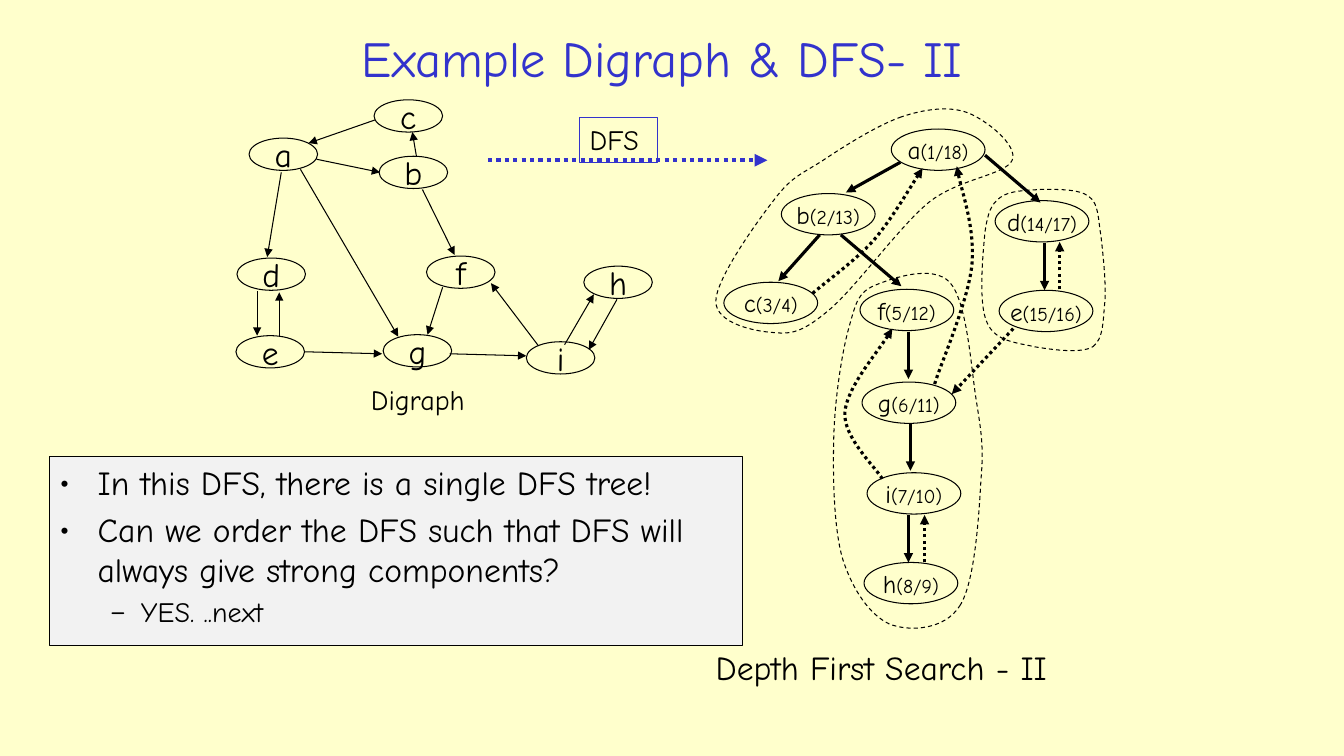
"""Build a slide that shows a digraph beside its depth first search tree."""
from lxml.etree import SubElement
from pptx import Presentation
from pptx.dml.color import RGBColor
from pptx.enum.dml import MSO_LINE as Dash
from pptx.enum.shapes import MSO_CONNECTOR as Link, MSO_SHAPE as Preset
from pptx.enum.text import MSO_ANCHOR as Anchor, PP_ALIGN as Align
from pptx.oxml.ns import qn
from pptx.util import Cm, Pt

BLACK = RGBColor(0x00, 0x00, 0x00)
BLUE = RGBColor(0x33, 0x33, 0xCC)
CREAM = RGBColor(0xFF, 0xFF, 0xCC)
GREY = RGBColor(0xF2, 0xF2, 0xF2)
FONT = "Comic Neue"
INCH = 2.54


def style_line(shape, color=BLACK, width=0.75, dash=None, arrow=False):
    shape.line.color.rgb = color
    shape.line.width = Pt(width)
    if dash:
        shape.line.dash_style = dash
    properties = shape.element.spPr
    if arrow:
        SubElement(properties.find(qn("a:ln")), qn("a:tailEnd"), type="triangle")
    if properties.find(qn("a:effectLst")) is None:
        SubElement(properties, qn("a:effectLst"))


def add_span(para, text, size, color=BLACK):
    span = para.add_run()
    span.text = text
    span.font.name = FONT
    span.font.size = Pt(size)
    span.font.color.rgb = color


deck = Presentation()
deck.slide_width, deck.slide_height = Cm(13.33 * INCH), Cm(7.5 * INCH)
page = deck.slides.add_slide(deck.slide_layouts[6])
page.background.fill.solid()
page.background.fill.fore_color.rgb = CREAM

tree_nodes = [
    ("a", "(1/18)", 8.84, 1.28), ("b", "(2/13)", 7.75, 1.92), ("c", "(3/4)", 7.18, 2.8),
    ("d", "(14/17)", 9.87, 1.99), ("e", "(15/16)", 9.91, 2.88), ("f", "(5/12)", 8.53, 2.87),
    ("g", "(6/11)", 8.55, 3.79), ("i", "(7/10)", 8.6, 4.69), ("h", "(8/9)", 8.57, 5.58),
]
graph_nodes = [
    ("a", "", 2.47, 1.37), ("c", "", 3.71, 0.99), ("b", "", 3.76, 1.55),
    ("d", "", 2.35, 2.56), ("e", "", 2.34, 3.33), ("f", "", 4.23, 2.54),
    ("g", "", 3.8, 3.32), ("i", "", 5.22, 3.39), ("h", "", 5.79, 2.64),
]
for nodes, width, height, size in [(tree_nodes, 0.93, 0.41, 18), (graph_nodes, 0.68, 0.32, 24)]:
    for name, times, left, top in nodes:
        place = [Cm(value * INCH) for value in (left, top, width, height)]
        node = page.shapes.add_shape(Preset.OVAL, *place)
        node.shadow.inherit = False
        node.fill.solid()
        node.fill.fore_color.rgb = CREAM
        style_line(node)
        node.text_frame.word_wrap = False
        node.text_frame.vertical_anchor = Anchor.MIDDLE
        para = node.text_frame.paragraphs[0]
        para.alignment = Align.CENTER
        add_span(para, name, size)
        if times:
            add_span(para, times, 14)

tree_edges = [
    (8.93, 1.61, 8.39, 1.91), (8.13, 2.33, 7.72, 2.79), (8.34, 2.33, 8.94, 2.84),
    (9.01, 3.29, 9.01, 3.76), (9.03, 4.2, 9.03, 4.67), (9.01, 5.11, 9.01, 5.58),
    (9.77, 1.54, 10.32, 2.01), (10.36, 2.41, 10.36, 2.88),
]
back_edges = [
    (10.51, 2.87, 10.51, 2.4), (9.17, 5.58, 9.17, 5.11), (10.05, 3.26, 9.44, 3.91),
]
graph_edges = [
    (3.72, 1.19, 3.06, 1.42), (3.14, 1.58, 3.77, 1.71), (4.13, 1.55, 4.09, 1.31),
    (2.79, 1.71, 2.65, 2.55), (2.55, 2.89, 2.55, 3.33), (2.77, 3.34, 2.77, 2.9),
    (4.19, 1.88, 4.51, 2.53), (3.02, 3.49, 3.79, 3.51), (5.34, 3.43, 4.87, 2.81),
    (5.6, 3.42, 5.89, 2.92), (6.12, 2.97, 5.84, 3.47), (4.46, 3.51, 5.22, 3.53),
    (4.39, 2.85, 4.24, 3.32), (2.98, 1.68, 3.95, 3.34),
]
search_arrow = [(4.84, 1.59, 7.61, 1.59)]
for edges, color, width, dash in [
    (tree_edges, BLACK, 2.25, None), (back_edges, BLACK, 2.25, Dash.ROUND_DOT),
    (graph_edges, BLACK, 0.75, None), (search_arrow, BLUE, 3, Dash.ROUND_DOT),
]:
    for ends in edges:
        edge = page.shapes.add_connector(Link.STRAIGHT, *[Cm(value * INCH) for value in ends])
        style_line(edge, color, width, dash, arrow=True)

back_curves = [
    [(8.06, 2.91), (8.16, 2.82), (8.48, 2.59), (8.66, 2.39),
     (8.84, 2.18), (9.05, 1.82), (9.15, 1.67)],
    [(9.27, 3.81), (9.33, 3.61), (9.6, 3), (9.64, 2.63),
     (9.67, 2.27), (9.52, 1.85), (9.49, 1.65)],
    [(8.75, 4.75), (8.69, 4.64), (8.36, 4.34), (8.38, 4.09),
     (8.4, 3.85), (8.75, 3.44), (8.85, 3.26)],
]
component_outlines = [
    [(8.94, 1.16), (8.71, 1.24), (8.39, 1.44), (8.18, 1.58), (7.97, 1.72), (7.86, 1.74),
     (7.68, 1.98), (7.5, 2.21), (7.1, 2.77), (7.1, 2.99), (7.1, 3.21), (7.49, 3.29),
     (7.68, 3.3), (7.87, 3.32), (7.98, 3.28), (8.23, 3.07), (8.49, 2.85), (8.91, 2.26),
     (9.21, 2.01), (9.51, 1.77), (9.97, 1.74), (10.04, 1.59), (10.1, 1.44), (9.78, 1.19),
     (9.6, 1.12), (9.42, 1.05), (9.18, 1.08), (8.94, 1.16)],
    [(10.84, 3.44), (10.95, 3.36), (10.94, 3.16), (10.96, 2.98), (10.97, 2.79), (10.94, 2.52),
     (10.92, 2.34), (10.89, 2.17), (10.9, 2.02), (10.8, 1.95), (10.7, 1.87), (10.47, 1.88),
     (10.32, 1.88), (10.18, 1.89), (10.01, 1.89), (9.92, 1.96), (9.83, 2.03), (9.8, 2.1),
     (9.77, 2.3), (9.75, 2.51), (9.7, 3.01), (9.79, 3.2), (9.87, 3.39), (10.09, 3.4),
     (10.26, 3.44), (10.44, 3.47), (10.72, 3.51), (10.84, 3.44)],
    [(9.52, 6.01), (9.67, 5.78), (9.71, 5.11), (9.73, 4.76), (9.76, 4.42), (9.73, 4.27),
     (9.68, 3.95), (9.63, 3.62), (9.59, 2.99), (9.42, 2.8), (9.25, 2.62), (8.85, 2.76),
     (8.68, 2.83), (8.51, 2.9), (8.49, 3), (8.42, 3.25), (8.35, 3.5), (8.28, 3.96),
     (8.27, 4.34), (8.26, 4.73), (8.27, 5.25), (8.36, 5.55), (8.46, 5.86), (8.63, 6.1),
     (8.82, 6.19), (9.02, 6.27), (9.37, 6.25), (9.52, 6.01)],
]
for curves, width, dash, closed in [
    (back_curves, 2.25, Dash.ROUND_DOT, False), (component_outlines, 0.75, Dash.DASH, True),
]:
    for controls in curves:
        start, *points = [(Cm(x * INCH), Cm(y * INCH)) for x, y in controls]
        builder = page.shapes.build_freeform(*start)
        builder.add_line_segments(points, close=closed)
        curve = builder.convert_to_shape()
        segments = list(curve.element.iter(qn("a:lnTo")))
        for first, second, third in zip(segments[::3], segments[1::3], segments[2::3]):
            bezier = first.makeelement(qn("a:cubicBezTo"))
            first.addprevious(bezier)
            for segment in (first, second, third):
                bezier.append(segment[0])
                segment.getparent().remove(segment)
        curve.shadow.inherit = False
        curve.fill.background()
        style_line(curve, width=width, dash=dash, arrow=not closed)

for text, place, size, color, align, anchor in [
    ("Example Digraph & DFS- II", (2.09, 0.24, 8.96, 0.66), 36, BLUE, Align.CENTER, Anchor.MIDDLE),
    ("Depth First Search - II", (7, 6.37, 3.93, 0.5), 24, BLACK, Align.LEFT, Anchor.TOP),
    ("Digraph", (3.58, 3.75, 1.21, 0.43), 20, BLACK, Align.LEFT, Anchor.TOP),
    ("DFS", (5.75, 1.17, 0.77, 0.44), 20, BLACK, Align.LEFT, Anchor.TOP),
]:
    box = page.shapes.add_textbox(*[Cm(value * INCH) for value in place])
    box.text_frame.word_wrap = align == Align.CENTER
    box.text_frame.vertical_anchor = anchor
    para = box.text_frame.paragraphs[0]
    para.alignment = align
    add_span(para, text, size, color)
    if text == "DFS":
        style_line(box, BLUE)

notice = page.shapes.add_textbox(*[Cm(value * INCH) for value in (0.49, 4.53, 6.87, 1.87)])
notice.fill.solid()
notice.fill.fore_color.rgb = GREY
style_line(notice)
notice.text_frame.word_wrap = True
for index, (text, level, size, bullet, margin, indent) in enumerate([
    ("In this DFS, there is a single DFS tree!", 0, 24, "•", 0.38, -0.38),
    ("Can we order the DFS such that DFS will always give strong components?",
     0, 24, "•", 0.38, -0.38),
    ("YES. ..next", 1, 20, "–", 0.81, -0.31),
]):
    para = notice.text_frame.add_paragraph() if index else notice.text_frame.paragraphs[0]
    para.level = level
    para.space_before = Pt(size * 0.2)
    add_span(para, text, size)
    settings = para._p.get_or_add_pPr()
    settings.set("marL", str(Cm(margin * INCH)))
    settings.set("indent", str(Cm(indent * INCH)))
    SubElement(settings, qn("a:buFont"), typeface=FONT)
    SubElement(settings, qn("a:buChar"), char=bullet)

deck.save("out.pptx")
